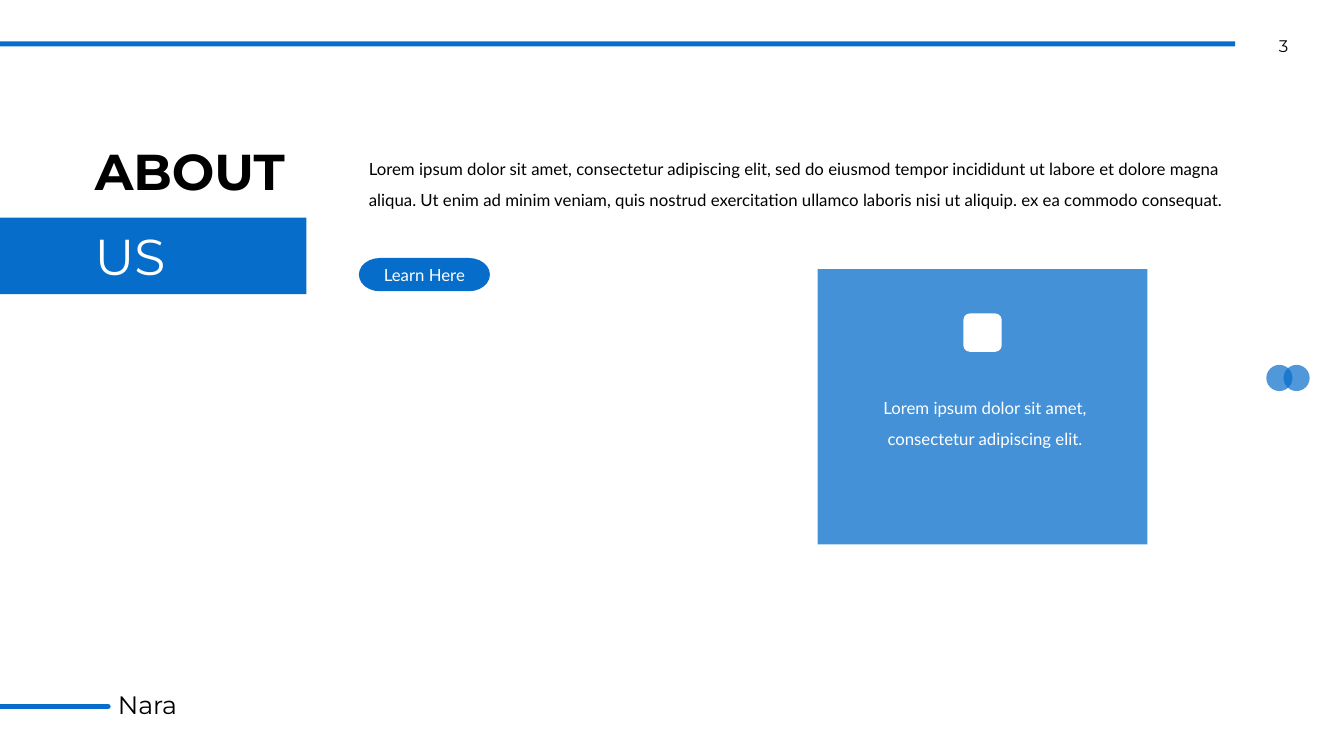
from lxml import etree
from pptx import Presentation
from pptx.dml.color import RGBColor
from pptx.enum import shapes, text
from pptx.oxml import ns
from pptx.util import Inches, Pt

BLUE = RGBColor(0x06, 0x6D, 0xCA)
BLACK = RGBColor(0, 0, 0)
WHITE = RGBColor(255, 255, 255)
HEADING_FONT, BODY_FONT = "Montserrat", "Lato"
LEFT, CENTER = text.PP_ALIGN.LEFT, text.PP_ALIGN.CENTER
SHAPE = shapes.MSO_SHAPE


def write(frame, words, size, font, color, align=LEFT, spacing=None,
          bold=False, anchor=text.MSO_ANCHOR.TOP):
    frame.text = words
    frame.word_wrap = True
    frame.auto_size = text.MSO_AUTO_SIZE.NONE
    frame.vertical_anchor = anchor
    paragraph = frame.paragraphs[0]
    paragraph.alignment = align
    if spacing:
        paragraph.line_spacing = spacing
    run_font = paragraph.runs[0].font
    run_font.size, run_font.name, run_font.bold = Pt(size), font, bold
    run_font.color.rgb = color


def add_words(slide, box, *args, **kwargs):
    label = slide.shapes.add_textbox(*map(Inches, box))
    write(label.text_frame, *args, **kwargs)
    return label


def add_block(slide, kind, box, color=BLUE, opacity=100):
    """Add a borderless shape; opacity is in percent."""
    block = slide.shapes.add_shape(kind, *map(Inches, box))
    block.shadow.inherit = False
    block.line.fill.background()
    block.fill.solid()
    block.fill.fore_color.rgb = color
    if opacity < 100:
        srgb = block.fill._xPr.find(".//" + ns.qn("a:srgbClr"))
        etree.SubElement(srgb, ns.qn("a:alpha"), val=str(opacity * 1000))
    return block


def draw_header(slide, left, top, width):
    add_block(slide, SHAPE.RECTANGLE, (left, top, width, 0.05))
    page = add_words(slide, (left + width + 0.14, top - 0.06, 0.68, 0.2),
                     "3", 12, HEADING_FONT, BLACK, CENTER)
    page.text_frame.margin_top = page.text_frame.margin_bottom = 0


def draw_side_dots(slide, left, top, diameter):
    for step in range(2):
        add_block(slide, SHAPE.OVAL,
                  (left + step * 0.17, top, diameter, diameter), opacity=70)


def draw_footer(slide, left, top, width):
    rule = slide.shapes.add_connector(
        shapes.MSO_CONNECTOR.STRAIGHT, Inches(left), Inches(top),
        Inches(left + width), Inches(top))
    rule.line.color.rgb = BLUE
    rule.line.width = Pt(4)
    rule.line._get_or_add_ln().set("cap", "rnd")
    etree.SubElement(rule._element.spPr, ns.qn("a:effectLst"))
    add_words(slide, (left + width, top - 0.22, 1.67, 0.4),
              "Nara", 18, HEADING_FONT, BLACK)


def draw_heading(slide, left, top, width):
    title = slide.shapes.title
    title.left, title.top = Inches(left + 0.84), Inches(top)
    title.width, title.height = Inches(3.16), Inches(0.71)
    write(title.text_frame, "ABOUT", 36, HEADING_FONT, BLACK, bold=True)
    add_block(slide, SHAPE.RECTANGLE, (left, top + 0.82, width, 0.76))
    add_words(slide, (left + 0.84, top + 0.84, 3.16, 0.71),
              "US", 36, HEADING_FONT, WHITE)


def draw_intro(slide, left, top, width):
    add_words(slide, (left, top, width, 0.67),
              "Lorem ipsum dolor sit amet, consectetur adipiscing elit, sed do "
              "eiusmod tempor incididunt ut labore et dolore magna aliqua. Ut "
              "enim ad minim veniam, quis nostrud exercitation ullamco laboris "
              "nisi ut aliquip. ex ea commodo consequat.",
              12, BODY_FONT, BLACK, spacing=1.5)
    button = add_block(slide, SHAPE.FLOWCHART_TERMINATOR,
                       (left, top + 1.13, 1.3, 0.33))
    write(button.text_frame, "Learn Here", 12, BODY_FONT, WHITE, CENTER,
          anchor=text.MSO_ANCHOR.MIDDLE)


def draw_card(slide, left, top, width, height):
    add_block(slide, SHAPE.FLOWCHART_PROCESS, (left, top, width, height),
              opacity=75)
    icon_size, words_width = 0.38, 2.34
    add_block(slide, SHAPE.ROUNDED_RECTANGLE,
              (left + (width - icon_size) / 2, top + 0.44,
               icon_size, icon_size), WHITE)
    add_words(slide, (left + 0.49, top + 1.13, words_width, 0.67),
              "Lorem ipsum dolor sit amet, consectetur adipiscing elit.",
              12, BODY_FONT, WHITE, CENTER, spacing=1.5)


def main():
    deck = Presentation()
    deck.slide_width, deck.slide_height = Inches(13.33), Inches(7.5)
    slide = deck.slides.add_slide(deck.slide_layouts[5])
    draw_side_dots(slide, 12.56, 3.62, 0.26)
    draw_header(slide, 0, 0.41, 12.25)
    draw_footer(slide, 0, 7.01, 1.07)
    draw_heading(slide, 0, 1.34, 3.04)
    draw_intro(slide, 3.56, 1.43, 8.75)
    draw_card(slide, 8.11, 2.67, 3.27, 2.73)
    deck.save("out.pptx")


if __name__ == "__main__":
    main()
